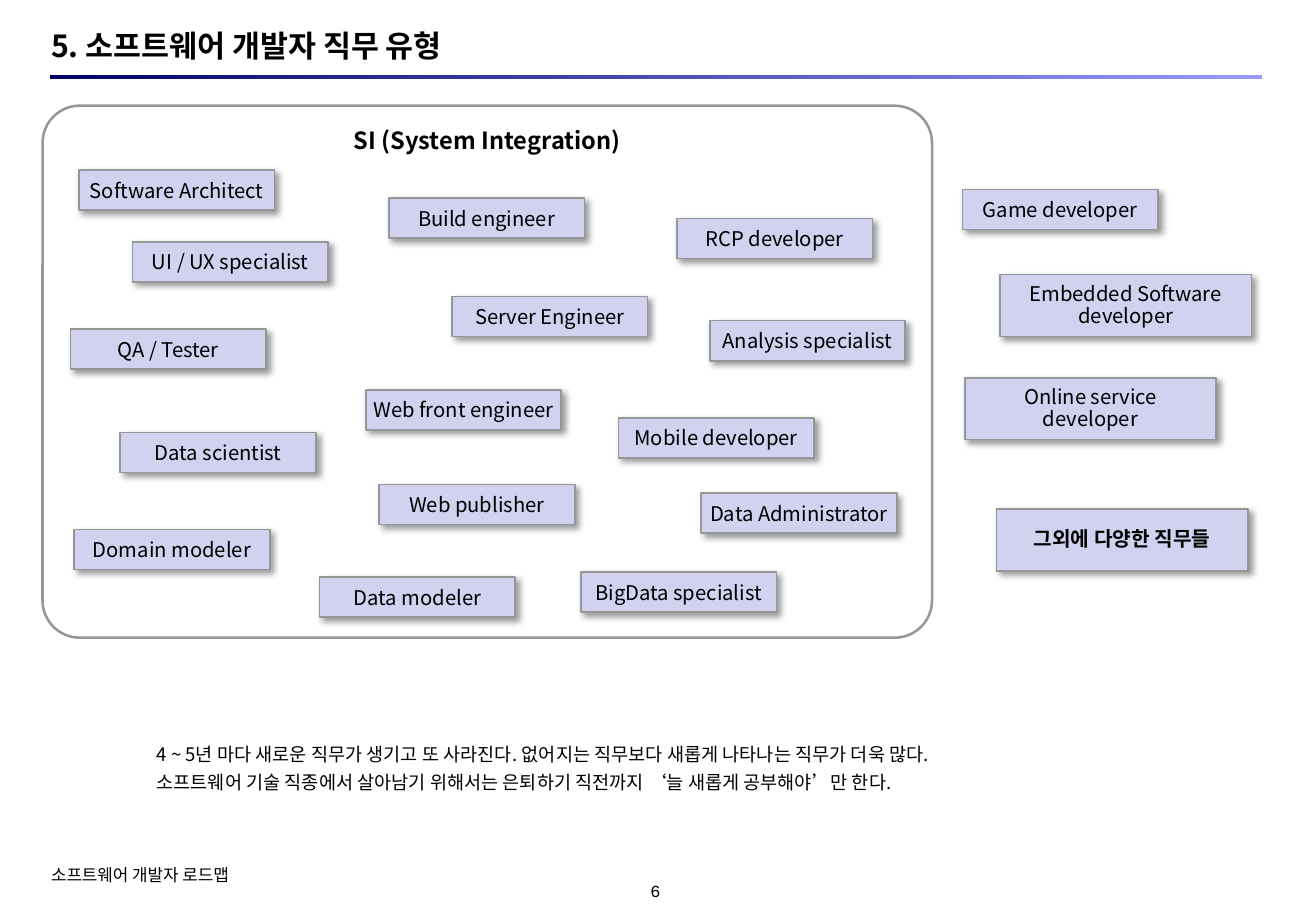
"""Builds the slide on software developer job types."""
import dataclasses
import typing

import lxml.etree
import pptx
import pptx.dml.color
import pptx.enum.shapes
import pptx.enum.text
import pptx.oxml.ns
import pptx.util

Inches = pptx.util.Inches
Pt = pptx.util.Pt
Align = pptx.enum.text.PP_ALIGN
Anchor = pptx.enum.text.MSO_ANCHOR
Preset = pptx.enum.shapes.MSO_SHAPE
qn = pptx.oxml.ns.qn

KOREAN_FONT = "Noto Sans CJK KR"
BORDER = "969696"
BOX_FILL = "D1D1F0"


@dataclasses.dataclass(frozen=True)
class Job:
    label: str
    left: float
    top: float
    width: float = 1.61
    height: float = 0.33
    bold: bool = False


@dataclasses.dataclass(frozen=True)
class Style:
    size: float
    bold: bool = False
    font: str = KOREAN_FONT
    align: typing.Any = Align.LEFT
    anchor: typing.Any = Anchor.TOP
    inset: tuple[float, float] = (0, 0)
    wrap: bool = True
    space_between: float = 0
    line_points: typing.Optional[float] = None


JOBS = [
    Job("Software Architect", 0.65, 1.4),
    Job("UI / UX specialist", 1.09, 1.99),
    Job("QA / Tester", 0.58, 2.71),
    Job("Data scientist", 0.99, 3.56),
    Job("Domain modeler", 0.61, 4.36),
    Job("Build engineer", 3.2, 1.63),
    Job("Server Engineer", 3.72, 2.44),
    Job("Web front engineer", 3.01, 3.21),
    Job("Web publisher", 3.12, 3.99),
    Job("Data modeler", 2.63, 4.75),
    Job("RCP developer", 5.57, 1.8),
    Job("Analysis specialist", 5.84, 2.64),
    Job("Mobile developer", 5.09, 3.44),
    Job("Data Administrator", 5.77, 4.06),
    Job("BigData specialist", 4.78, 4.71),
    Job("Game developer", 7.92, 1.56),
    Job("Embedded Software\ndeveloper", 8.23, 2.26, 2.07, 0.51),
    Job("Online service\ndeveloper", 7.94, 3.11, 2.07, 0.51),
    Job("그외에 다양한 직무들", 8.2, 4.19, 2.07, 0.51, bold=True),
]


def colour(value: str) -> pptx.dml.color.RGBColor:
    return pptx.dml.color.RGBColor.from_string(value)


def area(left: float, top: float, width: float, height: float) -> list:
    return [Inches(length) for length in (left, top, width, height)]


def write(box: typing.Any, text: str, style: Style) -> None:
    frame = box.text_frame
    frame.text = text
    frame.auto_size = pptx.enum.text.MSO_AUTO_SIZE.NONE
    frame.word_wrap = style.wrap
    frame.vertical_anchor = style.anchor
    frame.margin_left = frame.margin_right = Inches(style.inset[0])
    frame.margin_top = frame.margin_bottom = Inches(style.inset[1])
    for index, para in enumerate(frame.paragraphs):
        para.alignment = style.align
        para.space_before = Pt(style.space_between if index else 0)
        if style.line_points:
            para.line_spacing = Pt(style.line_points)
        for span in para.runs:
            span.font.size = Pt(style.size)
            span.font.bold = style.bold
            span.font.color.rgb = colour("000000")
            span.font.name = style.font
            properties = span.font._element
            lxml.etree.SubElement(properties, qn("a:ea"), typeface=style.font)


def add_text(page: typing.Any, place: list, text: str, style: Style) -> None:
    write(page.shapes.add_textbox(*place), text, style)


def add_shape(page: typing.Any, preset: typing.Any, place: list) -> typing.Any:
    shape = page.shapes.add_shape(preset, *place)
    shape.shadow.inherit = False
    return shape


def outline(shape: typing.Any, width: float) -> None:
    shape.line.color.rgb = colour(BORDER)
    shape.line.width = Pt(width)


def add_soft_shadow(shape: typing.Any) -> None:
    effects = shape._element.spPr.find(qn("a:effectLst"))
    shadow = lxml.etree.SubElement(
        effects, qn("a:outerShdw"), blurRad=str(Pt(4)), dist=str(Pt(3)),
        dir=str(45 * 60000), algn="tl", rotWithShape="0")
    black = lxml.etree.SubElement(shadow, qn("a:srgbClr"), val="000000")
    lxml.etree.SubElement(black, qn("a:alpha"), val="40000")


def add_title_rule(page: typing.Any) -> None:
    rule = add_shape(page, Preset.RECTANGLE, area(0.41, 0.62, 9.98, 0.03))
    rule.line.fill.background()
    rule.fill.gradient()
    rule.fill.gradient_angle = 0
    for stop, position, shade in zip(rule.fill.gradient_stops, (0, 1), ("000066", "9999FF")):
        stop.position = position
        stop.color.rgb = colour(shade)


def add_integration_group(page: typing.Any) -> None:
    group = add_shape(page, Preset.ROUNDED_RECTANGLE, area(0.35, 0.87, 7.32, 4.38))
    group.adjustments[0] = 0.07
    group.fill.background()
    outline(group, 1.5)
    write(group, "SI (System Integration)",
          Style(14, bold=True, align=Align.CENTER, inset=(0.08, 0.08), wrap=False))


def add_job(page: typing.Any, job: Job) -> None:
    box = add_shape(page, Preset.RECTANGLE, area(job.left, job.top, job.width, job.height))
    box.fill.solid()
    box.fill.fore_color.rgb = colour(BOX_FILL)
    outline(box, 1)
    add_soft_shadow(box)
    write(box, job.label,
          Style(12, bold=job.bold, align=Align.CENTER, anchor=Anchor.MIDDLE,
                inset=(0.08, 0.08), wrap=False,
                line_points=13 if job.height > 0.5 else None))


def main() -> None:
    deck = pptx.Presentation()
    deck.slide_width, deck.slide_height = Inches(10.83), Inches(7.5)
    page = deck.slides.add_slide(deck.slide_layouts[5])

    title = page.shapes.title
    title.left, title.top, title.width, title.height = area(0.42, 0.22, 9.97, 0.3)
    write(title, "5. 소프트웨어 개발자 직무 유형", Style(18, bold=True, anchor=Anchor.MIDDLE))
    add_title_rule(page)

    add_integration_group(page)
    for job in JOBS:
        add_job(page, job)

    add_text(page, area(1.19, 6.07, 7.38, 0.56),
             "4 ~ 5년 마다 새로운 직무가 생기고 또 사라진다. "
             "없어지는 직무보다 새롭게 나타나는 직무가 더욱 많다.\n"
             "소프트웨어 기술 직종에서 살아남기 위해서는 은퇴하기 직전까지 "
             "‘늘 새롭게 공부해야’만 한다.",
             Style(11, inset=(0.1, 0.05), space_between=3))
    add_text(page, area(0.4, 7.11, 3.09, 0.19), "소프트웨어 개발자 로드맵",
             Style(10, inset=(0.02, 0.01)))
    add_text(page, area(5.06, 7.25, 0.67, 0.17), "6",
             Style(10, font="Courier New", align=Align.CENTER, anchor=Anchor.MIDDLE))

    deck.save("out.pptx")


if __name__ == "__main__":
    main()
